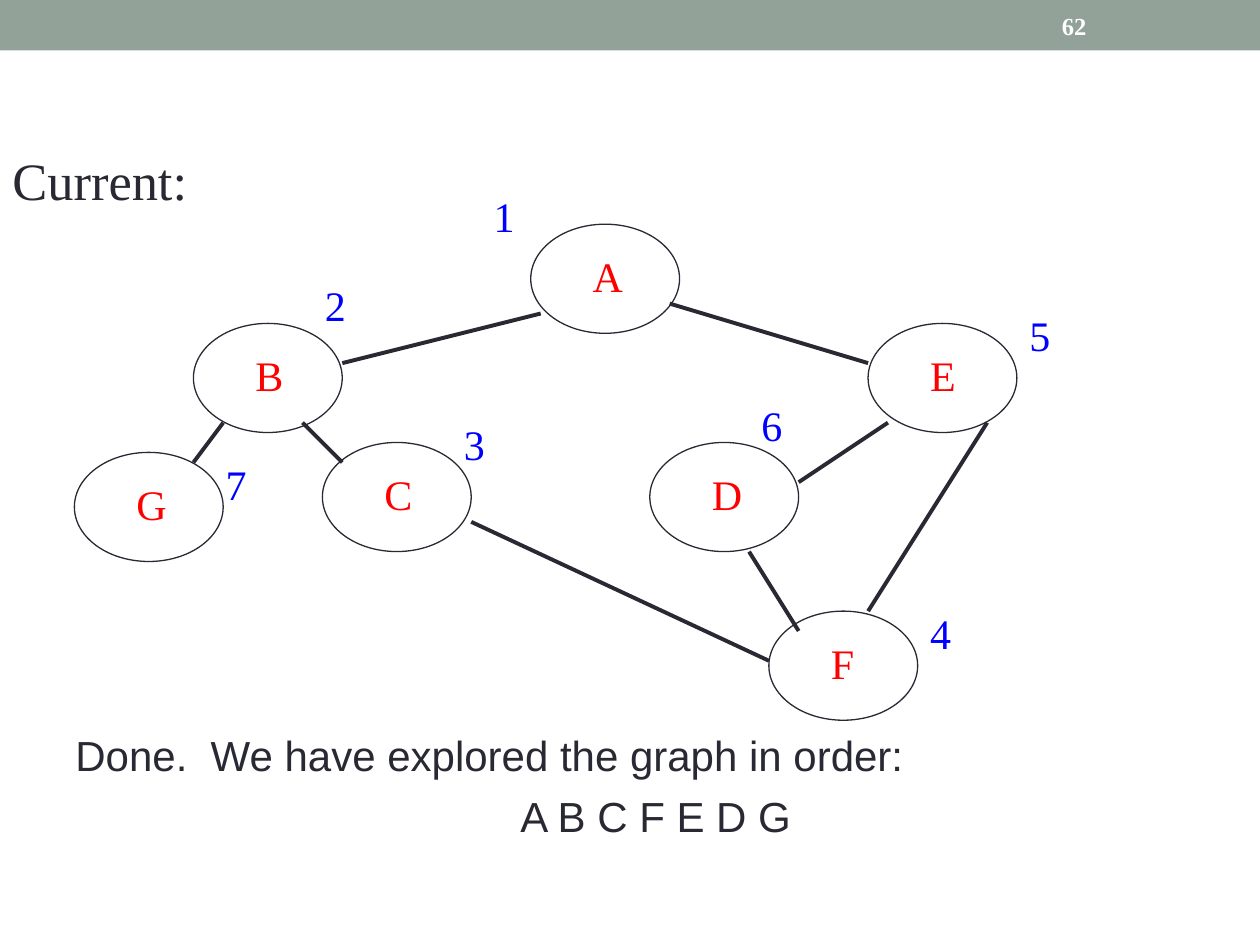
"""Build the slide showing the finished graph traversal with visiting order."""
from lxml import etree
from pptx import Presentation
from pptx import util as u
from pptx.dml.color import RGBColor
from pptx.enum import shapes, text
from pptx.oxml import ns

COLORS = {"band": "93A299", "ink": "292934", "letter": "FF0000",
          "number": "0000FF", "page": "FFFFFF"}
SERIF, SANS = "Times New Roman", "Arial"

prs = Presentation()
prs.slide_width, prs.slide_height = u.Inches(10), u.Inches(7.5)
W, H = prs.slide_width, prs.slide_height
s = prs.slides.add_slide(prs.slide_layouts[6])
CELL = W / 127
NODE_W, NODE_H = 15, 11


def cells(col, row):
    return int((col + 0.5) * CELL), int((row + 0.6) * CELL)


def add_text(box, lines, size, color, name=SERIF, bold=False, indent=0, before=0, **frame):
    tf = s.shapes.add_textbox(*(int(v) for v in box)).text_frame
    for key, value in {"word_wrap": True, **frame}.items():
        setattr(tf, key, value)
    for i, (line, align) in enumerate(lines):
        p = tf.paragraphs[0] if i == 0 else tf.add_paragraph()
        p.alignment = align
        if i:
            p.space_before = u.Pt(before)
        if indent:
            pPr = p._p.get_or_add_pPr()
            pPr.set("marL", str(u.Inches(indent)))
            pPr.set("indent", str(-u.Inches(indent)))
        r = p.add_run()
        r.text = line
        for key, value in {"size": u.Pt(size), "name": name, "bold": bold}.items():
            setattr(r.font, key, value)
        r.font.color.rgb = RGBColor.from_string(COLORS[color])


LEFT, CENTER = text.PP_ALIGN.LEFT, text.PP_ALIGN.CENTER
LABEL = {"word_wrap": False, "auto_size": text.MSO_AUTO_SIZE.SHAPE_TO_FIT_TEXT}

band = s.shapes.add_shape(shapes.MSO_SHAPE.RECTANGLE, 0, 0, W, u.Inches(0.4))
band.shadow.inherit = False
band.fill.solid()
band.fill.fore_color.rgb = RGBColor.from_string(COLORS["band"])
band.line.fill.background()
add_text((0.833 * W, 0.003 * H, 0.117 * W, 0.048 * H), [("62", LEFT)], 14, "page",
         bold=True, vertical_anchor=text.MSO_ANCHOR.MIDDLE)

add_text((0.05 * W, 0.763 * H, 0.95 * W, 0.168 * H),
         [("Done.  We have explored the graph in order:", LEFT), ("A B C F E D G ", CENTER)],
         24, "ink", name=SANS, indent=0.2, before=6, margin_top=u.Inches(0.07))

nodes = {"A": (53, 22, 5.6), "B": (19, 32, 5.3), "G": (7, 45, 5.6), "C": (32, 44, 5.3),
         "E": (87, 32, 5.1), "D": (65, 44, 5.6), "F": (77, 61, 4.8)}
for letter, (col, row, width) in nodes.items():
    sp = s.shapes.add_shape(shapes.MSO_SHAPE.OVAL, *cells(col, row),
                            int(NODE_W * CELL), int(NODE_H * CELL))
    sp.shadow.inherit = False
    sp.fill.background()
    sp.line.color.rgb = RGBColor.from_string(COLORS["ink"])
    sp.line.width = u.Pt(0.75)
    add_text((*cells(col + 5, row + 2), width * CELL, 6.35 * CELL),
             [(letter, LEFT)], 24, "letter", **LABEL)

edges = [((54, 31), (34, 36)), ((67, 30), (87, 36)), ((99, 42), (87, 61)),
         ((89, 42), (80, 48)), ((75, 55), (80, 63)), ((77, 66), (47, 52)),
         ((30, 42), (34, 46)), ((22, 42), (19, 46))]
for start, end in edges:
    edge = s.shapes.add_connector(shapes.MSO_CONNECTOR.STRAIGHT, *cells(*start), *cells(*end))
    edge.line.color.rgb = RGBColor.from_string(COLORS["ink"])
    edge.line.width = u.Pt(2.25)
    etree.SubElement(edge._element.spPr, ns.qn("a:effectLst"))

add_text((0, 0.143 * H, 0.9 * W, 0.132 * H), [("Current:", LEFT)], 30, "ink",
         indent=0.38, margin_top=u.Inches(0.1))

visits = {"1": (48, 18), "2": (31, 27), "3": (45, 41), "4": (92, 60),
          "6": (75, 39), "7": (21, 45), "5": (102, 30)}
for number, place in visits.items():
    add_text((*cells(*place), 4.6 * CELL, 6.35 * CELL), [(number, LEFT)], 24, "number", **LABEL)

prs.save("out.pptx")
